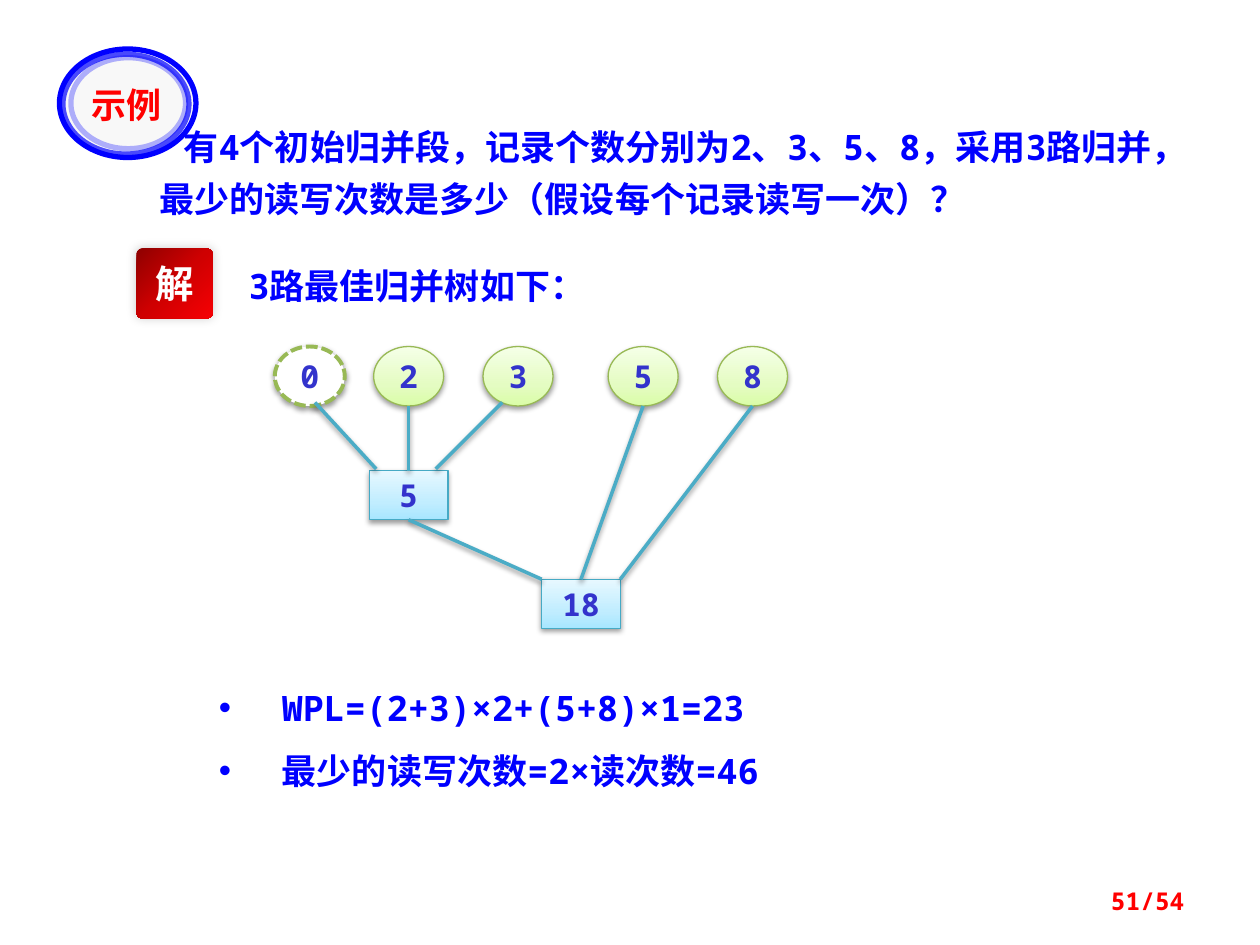
from lxml.etree import SubElement
from pptx import Presentation
from pptx.dml.color import RGBColor
from pptx.enum.dml import MSO_LINE
from pptx.enum.shapes import MSO_CONNECTOR, MSO_SHAPE
from pptx.enum.text import MSO_ANCHOR, PP_ALIGN
from pptx.oxml.ns import qn
from pptx.util import Pt

BLUE = RGBColor(0x00, 0x00, 0xFF)
RED = RGBColor(0xFF, 0x00, 0x00)
WHITE = RGBColor(0xFF, 0xFF, 0xFF)
BLACK = RGBColor(0x00, 0x00, 0x00)
PALE = RGBColor(0xF8, 0xF8, 0xF8)
INDIGO = RGBColor(0x33, 0x33, 0xCC)
GREEN_EDGE = RGBColor(0x98, 0xB9, 0x55)
CYAN_EDGE = RGBColor(0x46, 0xAA, 0xC5)
BRANCH = RGBColor(0x4B, 0xAC, 0xC6)
GREENS = [(0, RGBColor(0xDA, 0xFD, 0xA7)), (35, RGBColor(0xE4, 0xFC, 0xC2)),
          (100, RGBColor(0xF5, 0xFF, 0xE7))]
CYANS = [(0, RGBColor(0xA7, 0xE6, 0xFF)), (35, RGBColor(0xC1, 0xED, 0xFF)),
         (100, RGBColor(0xE7, 0xF8, 0xFF))]
REDS = [(0, RGBColor(0x8F, 0x00, 0x00)), (50, RGBColor(0xCF, 0x00, 0x01)),
        (100, RGBColor(0xF6, 0x00, 0x04))]
MONO = "Noto Sans Mono"
CJK = "Noto Sans CJK SC"


def add_color(parent, color, alpha=100):
    element = SubElement(parent, qn("a:srgbClr"), val=str(color))
    if alpha < 100:
        SubElement(element, qn("a:alpha"), val=str(alpha * 1000))


def add_shadow(shape, alpha=38, blur=3.1, distance=1.6, angle=90):
    properties = shape._element.spPr
    effects = properties.find(qn("a:effectLst"))
    if effects is None:
        effects = SubElement(properties, qn("a:effectLst"))
    shadow = SubElement(effects, qn("a:outerShdw"), blurRad=str(Pt(blur)),
                        dist=str(Pt(distance)), dir=str(angle * 60000), rotWithShape="0")
    add_color(shadow, BLACK, alpha)


def fill_gradient(shape, stops, angle):
    """Fill with any number of (percent, colour) stops; angle is counter-clockwise."""
    shape.fill.gradient()
    shape.fill.gradient_angle = angle
    stop_list = shape._element.spPr.find(qn("a:gradFill")).find(qn("a:gsLst"))
    for old in list(stop_list):
        stop_list.remove(old)
    for percent, color in stops:
        add_color(SubElement(stop_list, qn("a:gs"), pos=str(percent * 1000)), color)


class Deck:
    def __init__(self, width, height):
        self.presentation = Presentation()
        self.presentation.slide_width = Pt(width)
        self.presentation.slide_height = Pt(height)
        self.slide = self.presentation.slides.add_slide(self.presentation.slide_layouts[6])

    def style(self, paragraph, color=BLUE, size=20, font=MONO, align=PP_ALIGN.LEFT):
        paragraph.alignment = align
        paragraph.font.size = Pt(size)
        paragraph.font.bold = True
        paragraph.font.name = font
        paragraph.font.color.rgb = color
        SubElement(paragraph.font._element, qn("a:ea"), typeface=CJK)

    def text(self, content, left, top, width, height, indent=0, spacing=None, **style):
        box = self.slide.shapes.add_textbox(Pt(left), Pt(top), Pt(width), Pt(height))
        box.text_frame.word_wrap = True
        paragraph = box.text_frame.paragraphs[0]
        paragraph.text = content
        paragraph.line_spacing = spacing
        if indent:
            paragraph._p.get_or_add_pPr().set("indent", str(Pt(indent)))
        self.style(paragraph, **style)
        return box

    def bullets(self, items, left, top, width, height):
        box = self.text(items[0], left, top, width, height)
        box.fill.solid()
        box.fill.fore_color.rgb = WHITE
        frame = box.text_frame
        frame.clear()
        for number, item in enumerate(items):
            paragraph = frame.add_paragraph() if number else frame.paragraphs[0]
            paragraph.text = item
            paragraph.line_spacing = 1.5
            properties = paragraph._p.get_or_add_pPr()
            for old in properties.findall(qn("a:defRPr")):
                properties.remove(old)
            properties.set("marL", str(Pt(36)))
            properties.set("indent", str(Pt(-36)))
            SubElement(properties, qn("a:buFont"), typeface="Arial")
            SubElement(properties, qn("a:buChar"), char="•")
            self.style(paragraph)

    def shape(self, kind, left, top, width, height, edge=None, weight=0.75, fill=None):
        shape = self.slide.shapes.add_shape(kind, Pt(left), Pt(top), Pt(width), Pt(height))
        shape.shadow.inherit = False
        if fill is None:
            shape.fill.background()
        else:
            shape.fill.solid()
            shape.fill.fore_color.rgb = fill
        if edge is None:
            shape.line.fill.background()
        else:
            shape.line.color.rgb = edge
            shape.line.width = Pt(weight)
        return shape

    def label(self, shape, content, **style):
        frame = shape.text_frame
        frame.word_wrap = False
        frame.vertical_anchor = MSO_ANCHOR.MIDDLE
        frame.paragraphs[0].text = content
        self.style(frame.paragraphs[0], align=PP_ALIGN.CENTER, **style)

    def node(self, kind, value, center, top, width, height, edge, stops):
        shape = self.shape(kind, center - width / 2, top, width, height, edge)
        fill_gradient(shape, stops, 90)
        add_shadow(shape)
        self.label(shape, value, color=INDIGO, size=18)
        return shape

    def leaf(self, value, center):
        return self.node(MSO_SHAPE.OVAL, value, center, 198, 40, 34, GREEN_EDGE, GREENS)

    def merge(self, value, center, top):
        return self.node(MSO_SHAPE.RECTANGLE, value, center, top, 45, 28, CYAN_EDGE, CYANS)

    def branch(self, start, end, start_node=None, end_node=None):
        """Draw a tree edge, joined to the bottom of start_node or the top of end_node."""
        line = self.slide.shapes.add_connector(
            MSO_CONNECTOR.STRAIGHT, *(Pt(value) for value in (*start, *end)))
        if start_node is not None:
            line.begin_connect(start_node, 2)
        if end_node is not None:
            line.end_connect(end_node, 0)
        line.line.color.rgb = BRANCH
        line.line.width = Pt(2)
        add_shadow(line)

    def badge(self, content):
        rings = [(34, 28, 78, 62, 100, PALE), (36, 31, 72, 57, 70, None),
                 (40.5, 33, 65.5, 52, 30, None)]
        for left, top, width, height, alpha, fill in rings:
            ring = self.shape(MSO_SHAPE.OVAL, left, top, width, height, BLUE, 3, fill)
            if alpha < 100:
                color = ring.line.fill._xPr.find(qn("a:solidFill"))[0]
                SubElement(color, qn("a:alpha"), val=str(alpha * 1000))
        self.text(content, 38, 44, 69, 28, color=RED, font=CJK, align=PP_ALIGN.CENTER)


def main():
    deck = Deck(720, 540)
    deck.text("有4个初始归并段，记录个数分别为2、3、5、8，采用3路归并，"
              "最少的读写次数是多少（假设每个记录读写一次）？",
              84, 62, 585, 65, indent=14, spacing=Pt(30))

    zero = deck.leaf("0", 177)
    zero.fill.solid()
    zero.fill.fore_color.rgb = WHITE
    zero.line.width = Pt(2.25)
    zero.line.dash_style = MSO_LINE.SQUARE_DOT
    for value, center in (("2", 233.5), ("3", 296), ("5", 367.5), ("8", 430)):
        deck.leaf(value, center)
    first_merge = deck.merge("5", 233.5, 269)
    root = deck.merge("18", 332, 331)

    deck.branch((180, 230), (215, 268))
    deck.branch((287, 230), (249, 268))
    deck.branch((233.5, 232), (233.5, 269), end_node=first_merge)
    deck.branch((233.5, 297), (309.5, 331), start_node=first_merge)
    deck.branch((367.5, 232), (332, 331), end_node=root)
    deck.branch((430, 232), (354.5, 331))

    deck.bullets(["WPL=(2+3)×2+(5+8)×1=23", "最少的读写次数=2×读次数=46"], 118, 376.5, 343.5, 80)
    deck.text("3路最佳归并树如下：", 135, 147.5, 242, 32)
    deck.badge("示例")

    solution = deck.shape(MSO_SHAPE.ROUNDED_RECTANGLE, 78, 142, 43.5, 40)
    solution.adjustments[0] = 0.08
    fill_gradient(solution, REDS, 315)
    add_shadow(solution, alpha=20, blur=6, distance=0, angle=225)
    deck.label(solution, "解", color=WHITE, size=22, font=CJK)

    page = deck.text("51/54", 516, 500, 168, 29, color=RED, size=14, align=PP_ALIGN.RIGHT)
    page.text_frame.vertical_anchor = MSO_ANCHOR.MIDDLE
    deck.presentation.save("out.pptx")


if __name__ == "__main__":
    main()
